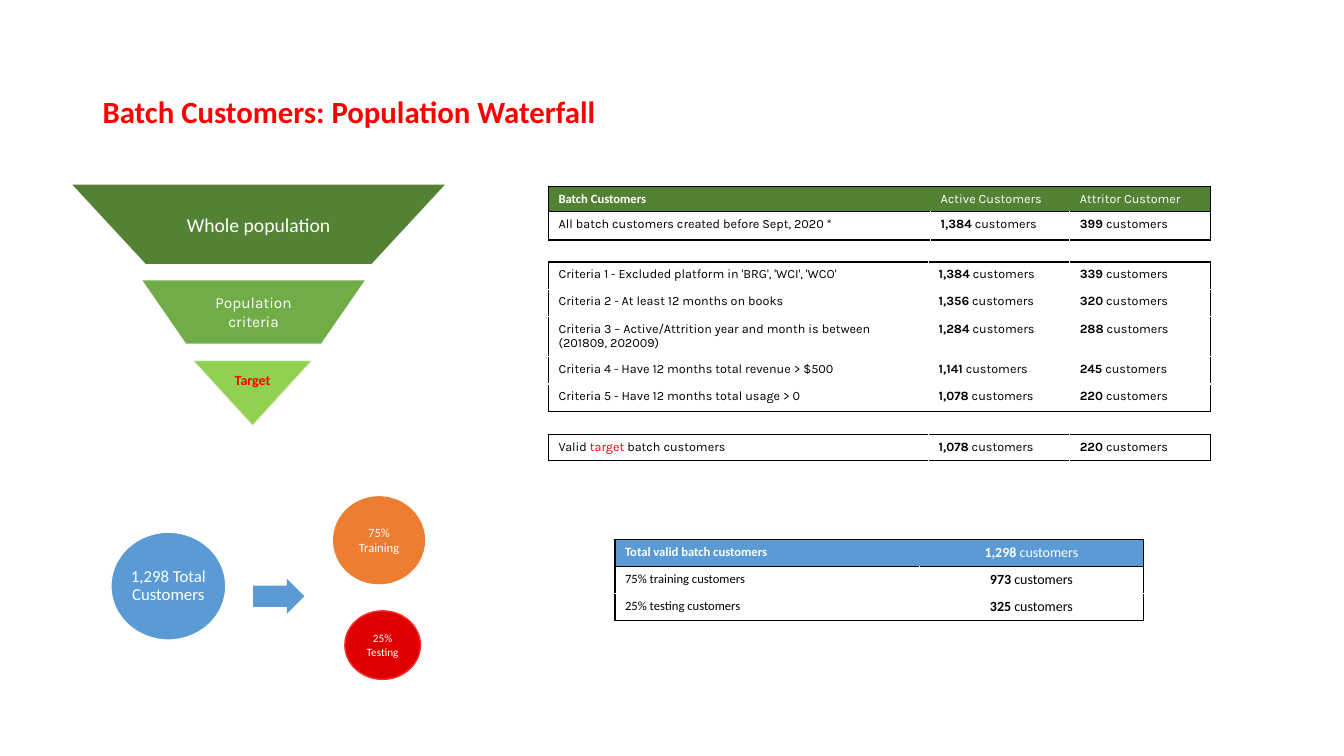
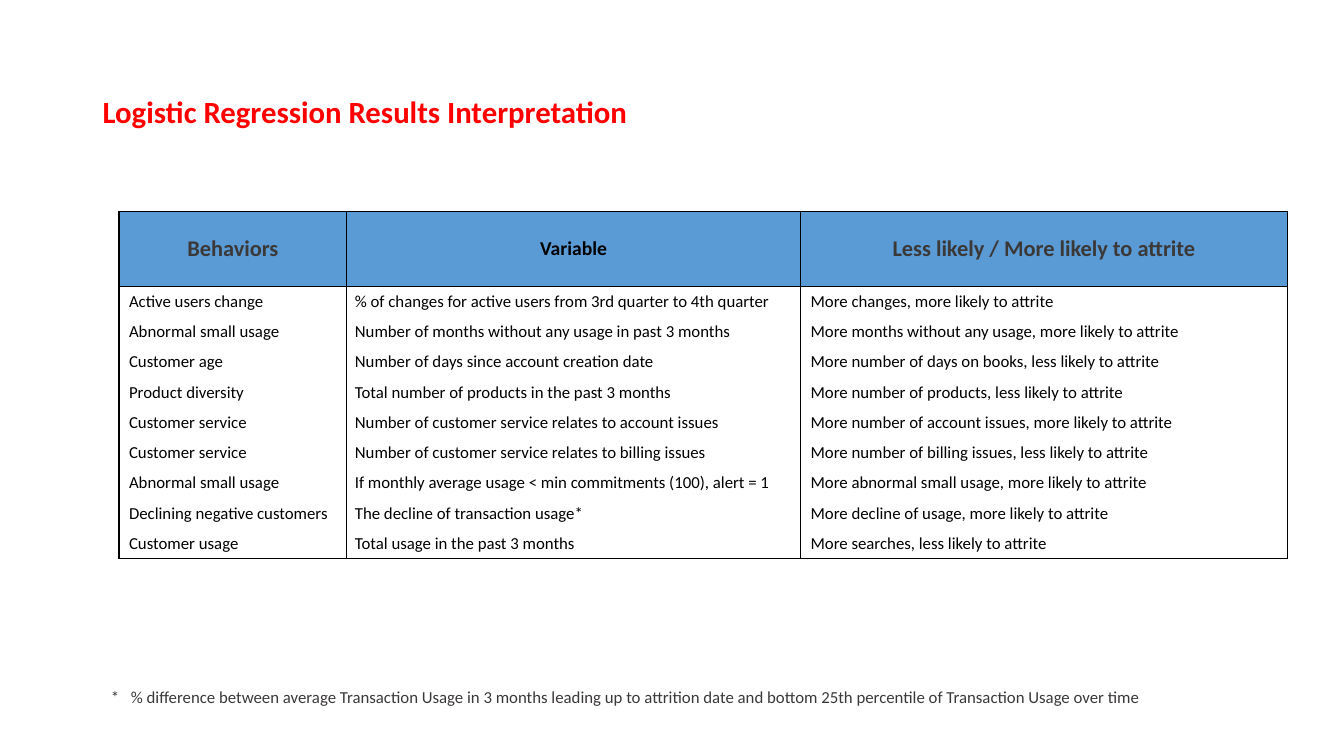
from dataclasses import dataclass, replace

from lxml import etree
from pptx import Presentation
from pptx.dml.color import RGBColor
from pptx.enum.shapes import MSO_SHAPE
from pptx.enum.text import MSO_ANCHOR, PP_ALIGN
from pptx.oxml.ns import qn
from pptx.util import Inches, Pt

LEFT, MID = PP_ALIGN.LEFT, PP_ALIGN.CENTER
TOP, CORE, LOW = MSO_ANCHOR.TOP, MSO_ANCHOR.MIDDLE, MSO_ANCHOR.BOTTOM
BAND, TIP = MSO_SHAPE.FLOWCHART_MANUAL_OPERATION, MSO_SHAPE.FLOWCHART_MERGE
DISC, ARROW = MSO_SHAPE.OVAL, MSO_SHAPE.RIGHT_ARROW

HUES = {
    "black": "000000", "white": "FFFFFF", "red": "FF0000", "gray": "3B3838",
    "forest": "548235", "green": "70AD47", "lime": "92D050", "mint": "E2F0D9",
    "blue": "5B9BD5", "orange": "ED7D31", "crimson": "DE0000", "coral": "FF2929",
}


@dataclass(frozen=True)
class Look:
    """Text style of a paragraph and how it sits in its frame."""
    size: int
    hue: str = "black"
    face: str = "Calibri"
    bold: bool = False
    align: int = LEFT
    anchor: int = TOP
    pad: float = 0.1


TITLE = Look(22, "red", bold=True, anchor=CORE)
NOTE = Look(12, "gray")
KARLA = Look(9, face="Karla")
DARK = replace(KARLA, hue="white")
LABEL = Look(9, "white", bold=True)
DISK = Look(9, "white", align=MID, anchor=CORE, pad=0.03)
HEAD = Look(16, "gray", bold=True, align=MID, anchor=CORE)


def rgb(name):
    """Return the named colour."""
    return RGBColor.from_string(HUES[name])


def write(para, text, look):
    """Fill a paragraph from a string or a list of (text, bold, hue) runs."""
    para.alignment = look.align
    font = para.font
    font.size, font.name, font.bold = Pt(look.size), look.face, look.bold
    font.color.rgb = rgb(look.hue)
    runs = [(text, None, None)] if isinstance(text, str) else text
    for words, bold, hue in runs:
        run = para.add_run()
        run.text = words
        if bold is not None:
            run.font.bold = bold
        if hue:
            run.font.color.rgb = rgb(hue)


def label(slide, box, text, look, space=1.0):
    """Add a wrapping text box and return its paragraph."""
    frame = slide.shapes.add_textbox(*map(Inches, box)).text_frame
    frame.word_wrap = True
    frame.vertical_anchor = look.anchor
    para = frame.paragraphs[0]
    para.line_spacing = space
    write(para, text, look)
    return para


def form(slide, kind, box, fill, line=None, width=1, text="", look=DISK, space=1.0):
    """Add a filled preset shape, with text if given."""
    shape = slide.shapes.add_shape(kind, *map(Inches, box))
    shape.shadow.inherit = False
    shape.fill.solid()
    shape.fill.fore_color.rgb = rgb(fill)
    if line:
        shape.line.color.rgb = rgb(line)
        shape.line.width = Pt(width)
    else:
        shape.line.fill.background()
    if text:
        frame = shape.text_frame
        frame.word_wrap = True
        frame.vertical_anchor = look.anchor
        frame.margin_left = frame.margin_right = Inches(look.pad)
        para = frame.paragraphs[0]
        para.line_spacing = space
        write(para, text, look)
    return shape


def edge(cell, side, hue):
    """Draw one border of a cell, or clear it when hue is None."""
    props = cell._tc.get_or_add_tcPr()
    line = etree.SubElement(props, qn("a:ln" + side), w=str(Pt(1)))
    if hue:
        fill = etree.SubElement(line, qn("a:solidFill"))
        etree.SubElement(fill, qn("a:srgbClr"), val=HUES[hue])
    else:
        etree.SubElement(line, qn("a:noFill"))


def grid(slide, spot, cols, highs, data, looks, head=None, fill=None,
         wall="white", rule="white", bar=None):
    """Add a framed table; head and fill style its first row if given."""
    size = (sum(cols), sum(highs))
    table = slide.shapes.add_table(
        len(highs), len(cols), *map(Inches, (*spot, *size))).table
    table.first_row = table.horz_banding = False
    for col, wide in zip(table.columns, cols):
        col.width = Inches(wide)
    last_r, last_c = len(highs) - 1, len(cols) - 1
    for r, row in enumerate(data):
        table.rows[r].height = Inches(highs[r])
        top = bool(head) and r == 0
        side = bar if top else wall
        over = "black" if r == 0 or (head and r == 1) else rule
        under = "black" if r == last_r or top else rule
        for c, text in enumerate(row):
            cell = table.cell(r, c)
            look = (head if top else looks)[c]
            edge(cell, "L", "black" if c == 0 else side)
            edge(cell, "R", "black" if c == last_c else side)
            edge(cell, "T", over)
            edge(cell, "B", under)
            cell.fill.solid()
            cell.fill.fore_color.rgb = rgb(fill if top else "white")
            cell.vertical_anchor = look.anchor
            cell.margin_left = Inches(look.pad)
            write(cell.text_frame.paragraphs[0], text, look)


def count(num):
    """Return the runs for a customer count."""
    return [(num, True, None), (" customers", False, None)]


def title(slide, text):
    """Add the slide title."""
    label(slide, (0.92, 0.4, 11.5, 1.45), text, TITLE, 0.9)


def funnel(slide, x, y):
    """Draw the three-step population funnel."""
    whole = Look(14, "white", align=MID, anchor=CORE)
    part = replace(whole, size=11, face="Karla")
    goal = Look(10, "red", bold=True, align=MID, anchor=LOW, pad=0.03)
    form(slide, BAND, (x, y, 3.75, 0.81), "forest", "white", 1.5,
         "Whole population", whole)
    form(slide, BAND, (x + 0.7, y + 0.95, 2.25, 0.65), "green", "white", 1.5,
         "Population criteria", part)
    form(slide, TIP, (x + 1.23, y + 1.76, 1.17, 0.64), "lime", "mint", 0.5,
         "Target", goal)


def split(slide, x, y):
    """Draw the split of all customers into training and testing."""
    form(slide, DISC, (x, y + 0.35, 1.14, 1.07), "blue", "white", 1,
         "1,298 Total Customers", replace(DISK, size=12), 0.9)
    arrow = form(slide, ARROW, (x + 1.41, y + 0.81, 0.51, 0.35), "blue")
    arrow.adjustments[0] = 0.6
    form(slide, DISC, (x + 2.21, y, 0.9, 0.86), "orange", "orange", 1,
         "75% Training")
    form(slide, DISC, (x + 2.32, y + 1.13, 0.75, 0.68), "crimson", "coral", 1,
         "25% Testing", replace(DISK, size=8))


def steps(slide, x, y):
    """Add the three stacked tables of the waterfall."""
    cols, looks = (3.77, 1.4, 1.4), [KARLA] * 3
    start = [
        ("Batch Customers", "Active Customers", "Attritor Customer"),
        ("All batch customers created before Sept, 2020 *",
         count("1,384"), count("399")),
    ]
    rules = [
        ("Criteria 1 - Excluded platform in 'BRG', 'WCI', 'WCO'", "1,384", "339"),
        ("Criteria 2 - At least 12 months on books", "1,356", "320"),
        ("Criteria 3 – Active/Attrition year and month is between "
         "(201809, 202009)", "1,284", "288"),
        ("Criteria 4 - Have 12 months total revenue > $500", "1,141", "245"),
        ("Criteria 5 - Have 12 months total usage > 0", "1,078", "220"),
    ]
    valid = [("Valid ", None, None), ("target", None, "red"),
             (" batch customers", None, None)]
    grid(slide, (x, y), (3.79, 1.38, 1.4), (0.25, 0.28), start, looks,
         [LABEL, DARK, DARK], "forest")
    grid(slide, (x, y + 0.75), cols, (0.27, 0.27, 0.4, 0.27, 0.27),
         [(name, count(a), count(b)) for name, a, b in rules], looks)
    grid(slide, (x, y + 2.46), cols, (0.26,),
         [(valid, count("1,078"), count("220"))], looks)


def totals(slide, x, y):
    """Add the table of training and testing counts."""
    num = Look(10, align=MID)
    data = [("Total valid batch customers", count("1,298")),
            ("75% training customers", count("973")),
            ("25% testing customers", count("325"))]
    grid(slide, (x, y), (3.02, 2.22), [0.27] * 3, data, [Look(9), num],
         [LABEL, replace(num, hue="white")], "blue")


def results(slide, x, y):
    """Add the table that reads the regression results."""
    body = Look(12)
    data = [
        ("Behaviors", "Variable", "Less likely / More likely to attrite"),
        ("Active users change",
         "% of changes for active users from 3rd quarter to 4th quarter",
         "More changes, more likely to attrite"),
        ("Abnormal small usage",
         "Number of months without any usage in past 3 months",
         "More months without any usage, more likely to attrite"),
        ("Customer age", "Number of days since account creation date",
         "More number of days on books, less likely to attrite"),
        ("Product diversity", "Total number of products in the past 3 months",
         "More number of products, less likely to attrite"),
        ("Customer service",
         "Number of customer service relates to account issues",
         "More number of account issues, more likely to attrite"),
        ("Customer service",
         "Number of customer service relates to billing issues",
         "More number of billing issues, less likely to attrite"),
        ("Abnormal small usage",
         "If monthly average usage < min commitments (100), alert = 1",
         "More abnormal small usage, more likely to attrite"),
        ("Declining negative customers", "The decline of transaction usage*",
         "More decline of usage, more likely to attrite"),
        ("Customer usage", "Total usage in the past 3 months",
         "More searches, less likely to attrite"),
    ]
    grid(slide, (x, y), (2.26, 4.5, 4.83), [0.74] + [0.3] * 9, data,
         [body, replace(body, anchor=CORE, pad=0.08), body],
         [HEAD, replace(HEAD, size=14, hue="black"), HEAD], "blue",
         wall="black", rule=None, bar="black")


def note(slide, box):
    """Add the footnote with a hanging star."""
    para = label(slide, box, "*\t% difference between average Transaction Usage "
                 "in 3 months leading up to attrition date and bottom 25th "
                 "percentile of Transaction Usage over time", NOTE)
    props = para._p.get_or_add_pPr()
    props.set("marL", str(Inches(0.2)))
    props.set("indent", str(-Inches(0.2)))


def main():
    """Build and save both slides."""
    deck = Presentation()
    deck.slide_width, deck.slide_height = Inches(13.33), Inches(7.5)
    blank = deck.slide_layouts[6]

    flow = deck.slides.add_slide(blank)
    title(flow, "Batch Customers: Population Waterfall")
    funnel(flow, 0.69, 1.82)
    steps(flow, 5.44, 1.85)
    split(flow, 1.1, 4.93)
    totals(flow, 6.1, 5.35)

    model = deck.slides.add_slide(blank)
    title(model, "Logistic Regression Results Interpretation")
    results(model, 1.18, 2.1)
    note(model, (1, 6.76, 10.75, 0.3))
    deck.save("out.pptx")


main()
